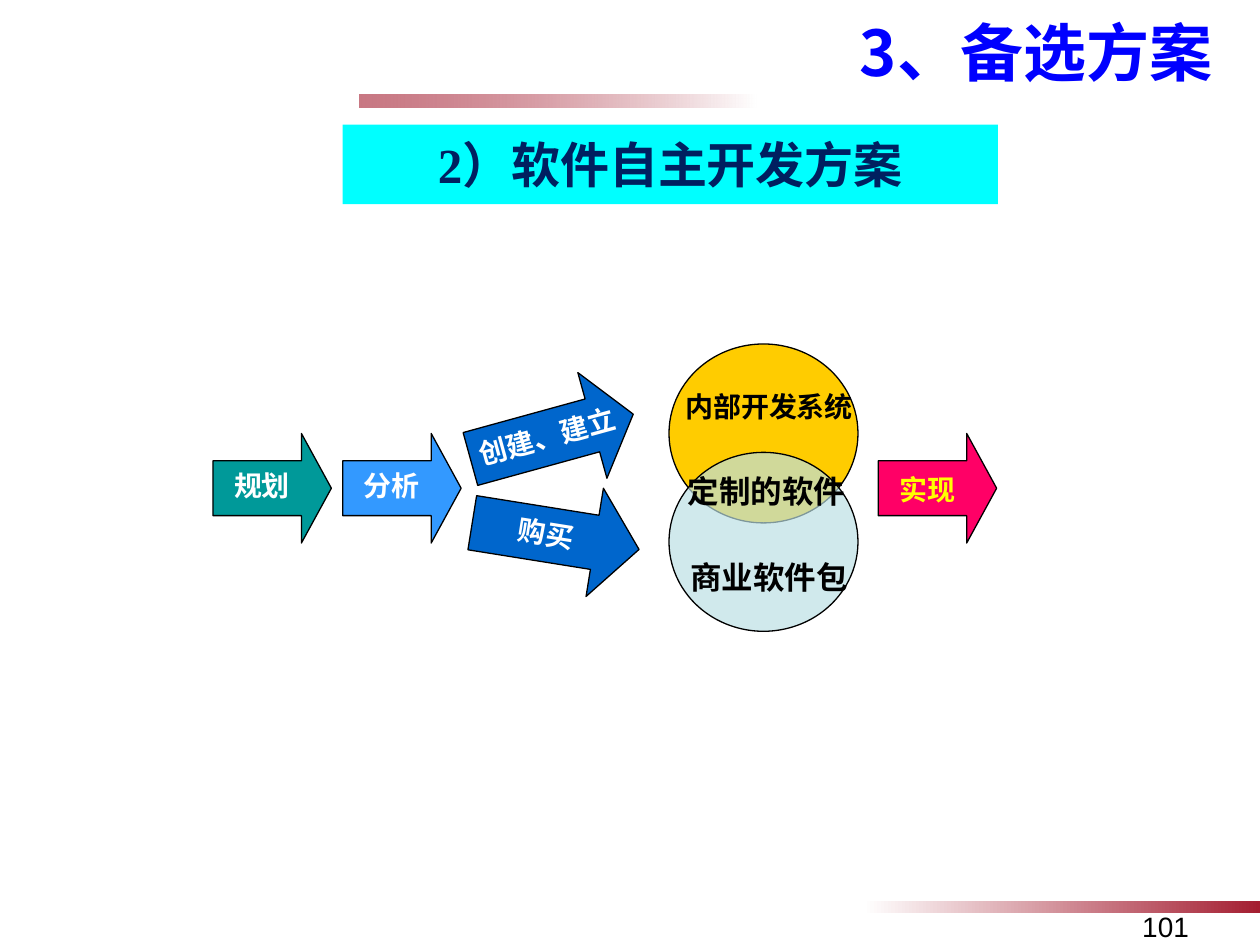
import pptx
import pptx.util
import pptx.dml.color
import pptx.enum.shapes
import pptx.enum.text
import pptx.oxml.ns
import lxml.etree

Inches = pptx.util.Inches
RGBColor = pptx.dml.color.RGBColor
SHAPE = pptx.enum.shapes.MSO_SHAPE
ALIGN = pptx.enum.text.PP_ALIGN
ANCHOR = pptx.enum.text.MSO_ANCHOR
qn = pptx.oxml.ns.qn

BLACK = RGBColor(0x00, 0x00, 0x00)
WHITE = RGBColor(0xFF, 0xFF, 0xFF)
YELLOW = RGBColor(0xFF, 0xFF, 0x00)
BLUE = RGBColor(0x00, 0x00, 0xFF)
NAVY = RGBColor(0x00, 0x20, 0x60)
CYAN = RGBColor(0x00, 0xFF, 0xFF)
CRIMSON = RGBColor(0xA4, 0x1E, 0x31)
TEAL = RGBColor(0x00, 0x99, 0x99)
SKY = RGBColor(0x33, 0x99, 0xFF)
PINK = RGBColor(0xFF, 0x00, 0x66)
ROYAL = RGBColor(0x00, 0x66, 0xCC)
GOLD = RGBColor(0xFF, 0xCC, 0x00)
PALE = RGBColor(0xBB, 0xE0, 0xE3)
CJK = "Noto Sans CJK SC"

deck = pptx.Presentation()
deck.slide_width = Inches(10)
deck.slide_height = Inches(7.5)
page = deck.slides.add_slide(deck.slide_layouts[5])


def write(box, text, size, color, align=ALIGN.CENTER, font=CJK, bold=True):
    box.text_frame.word_wrap = True
    para = box.text_frame.paragraphs[0]
    para.alignment = align
    span = para.add_run()
    span.text = text
    span.font.size = pptx.util.Pt(size)
    span.font.bold = bold
    span.font.color.rgb = color
    span.font.name = font
    east_asian = lxml.etree.SubElement(span.font._element, qn("a:ea"))
    east_asian.set("typeface", CJK)


def draw(kind, left, top, width, height, color=None, outlined=True):
    shape = page.shapes.add_shape(
        kind, Inches(left), Inches(top), Inches(width), Inches(height))
    shape.shadow.inherit = False
    if color is not None:
        shape.fill.solid()
        shape.fill.fore_color.rgb = color
    if outlined:
        shape.line.color.rgb = BLACK
        shape.line.width = pptx.util.Pt(0.75)
    else:
        shape.line.fill.background()
    return shape


for left, top, rotation, opacity in [(2.85, 0.75, 180, 60), (6.85, 7.15, 0, 100)]:
    bar = draw(SHAPE.RECTANGLE, left, top, 3.15, 0.1, outlined=False)
    bar.rotation = rotation
    bar.fill.gradient()
    bar.fill.gradient_angle = 0
    for stop, color in zip(bar.fill.gradient_stops, (WHITE, CRIMSON)):
        stop.color.rgb = color
    if opacity < 100:
        tint = bar._element.spPr.findall(".//" + qn("a:srgbClr"))[-1]
        lxml.etree.SubElement(tint, qn("a:alpha")).set("val", str(opacity * 1000))

title = page.shapes.title
title.left, title.top = Inches(1.22), Inches(0.05)
title.width, title.height = Inches(8.5), Inches(0.72)
title.text_frame.vertical_anchor = ANCHOR.MIDDLE
write(title, "3、备选方案", 36, BLUE, align=ALIGN.RIGHT)

banner = draw(SHAPE.RECTANGLE, 2.72, 0.99, 5.2, 0.63, CYAN, outlined=False)
banner.text_frame.margin_top = banner.text_frame.margin_bottom = Inches(0.08)
write(banner, "2）软件自主开发方案", 28, NAVY, font="Times New Roman")

draw(SHAPE.OVAL, 5.31, 2.73, 1.5, 1.42, GOLD)
package_circle = draw(SHAPE.OVAL, 5.31, 3.59, 1.5, 1.42, PALE)
tint = package_circle._element.spPr.find(qn("a:solidFill"))[0]
lxml.etree.SubElement(tint, qn("a:alpha")).set("val", "68000")

arrows = [
    (1.69, 3.44, 0.94, 0.273, 0, TEAL),
    (2.72, 3.44, 0.94, 0.273, 0, SKY),
    (6.97, 3.44, 0.94, 0.273, 0, PINK),
    (3.71, 3.03, 1.34, 0.386, 344.6, ROYAL),
    (3.74, 3.82, 1.34, 0.409, 9.1, ROYAL),
]
for left, top, width, head, rotation, color in arrows:
    arrow = draw(SHAPE.RIGHT_ARROW, left, top, width, 0.87, color)
    arrow.adjustments[0] = 0.5
    arrow.adjustments[1] = head
    arrow.rotation = rotation

labels = [
    ("内部开发系统", 5.24, 3.04, 1.73, 0.37, 0, 16, BLACK),
    ("定制的软件", 5.22, 3.7, 1.73, 0.4, 0, 18, BLACK),
    ("商业软件包", 5.24, 4.38, 1.73, 0.4, 0, 18, BLACK),
    ("规划", 1.61, 3.67, 0.94, 0.37, 0, 16, WHITE),
    ("分析", 2.64, 3.67, 0.94, 0.37, 0, 16, WHITE),
    ("实现", 6.89, 3.7, 0.94, 0.37, 0, 16, YELLOW),
    ("创建、建立", 3.63, 3.28, 1.42, 0.37, 344.6, 16, WHITE),
    ("购买", 3.89, 4.05, 0.89, 0.37, 9.1, 16, WHITE),
]
for text, left, top, width, height, rotation, size, color in labels:
    label = page.shapes.add_textbox(
        Inches(left), Inches(top), Inches(width), Inches(height))
    label.rotation = rotation
    write(label, text, size, color)

number = page.shapes.add_textbox(
    Inches(8.54), Inches(7.17), Inches(1.42), Inches(0.52))
write(number, "101", 16, BLACK, font="Arial", bold=False)

deck.save("out.pptx")
